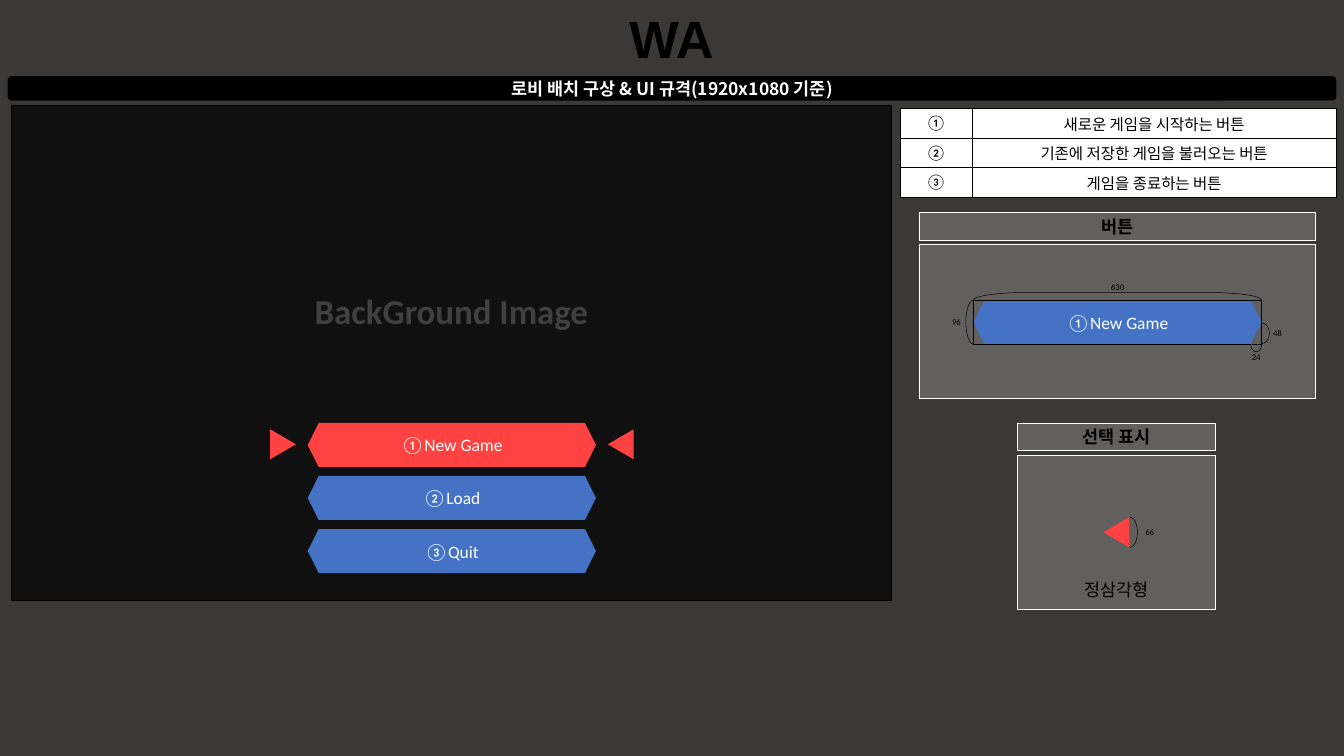
import math
from dataclasses import dataclass

from lxml import etree
from pptx import Presentation
from pptx.dml.color import RGBColor
from pptx.enum import shapes, text
from pptx.oxml import ns
from pptx.util import Pt


@dataclass(frozen=True)
class Theme:
    page: str = "3B3838"
    black: str = "000000"
    white: str = "FFFFFF"
    blue: str = "4472C4"
    red: str = "FF4343"
    faded: str = "404040"
    latin: str = "Calibri"
    korean: str = "Noto Sans CJK KR"
    display: str = "Arial"
    title: int = 54
    backdrop: int = 36
    body: int = 18
    cell: int = 16
    dimension: int = 9


THEME = Theme()
KIND = shapes.MSO_SHAPE
BUTTON_WIDTH, BUTTON_HEIGHT = 297.4, 45.4
MARKER_HEIGHT, MARKER_WIDTH = 31, 26.6
BRACKET_DEPTH = 7.9


def rgb(value):
    return RGBColor.from_string(value)


def write(frame, words, size, color, font=THEME.latin, bold=False,
          anchor=text.MSO_ANCHOR.MIDDLE):
    frame.word_wrap = True
    frame.vertical_anchor = anchor
    para = frame.paragraphs[0]
    para.text = words
    para.alignment = text.PP_ALIGN.CENTER
    para.font.name = font
    para.font.size = Pt(size)
    para.font.bold = bold
    para.font.color.rgb = rgb(color)


def add_box(holder, kind, left, top, width, height, fill=None, line=None,
            weight=1, opacity=None, turn=0):
    box = holder.add_shape(kind, Pt(left), Pt(top), Pt(width), Pt(height))
    box.shadow.inherit = False
    box.rotation = turn
    if fill:
        box.fill.solid()
        box.fill.fore_color.rgb = rgb(fill)
    else:
        box.fill.background()
    if opacity:
        color = box._element.spPr.find(".//" + ns.qn("a:srgbClr"))
        etree.SubElement(color, ns.qn("a:alpha"), val=str(opacity * 1000))
    if line:
        box.line.color.rgb = rgb(line)
        box.line.width = Pt(weight)
    else:
        box.line.fill.background()
    return box


def add_label(holder, words, center_x, center_y, width, height, size):
    box = holder.add_textbox(Pt(center_x - width / 2), Pt(center_y - height / 2),
                             Pt(width), Pt(height))
    write(box.text_frame, words, size, THEME.black, anchor=text.MSO_ANCHOR.TOP)


def add_button(holder, words, left, top, fill=THEME.blue):
    box = add_box(holder, KIND.HEXAGON, left, top, BUTTON_WIDTH, BUTTON_HEIGHT, fill)
    write(box.text_frame, words, THEME.body, THEME.white)


def add_marker(holder, left, top, turn):
    add_box(holder, KIND.ISOSCELES_TRIANGLE, left, top, MARKER_HEIGHT, MARKER_WIDTH,
            THEME.red, turn=turn)


def add_dimension(holder, words, edge_x, edge_y, span, turn, gap):
    angle = math.radians(turn)
    out_x, out_y = -math.cos(angle), -math.sin(angle)
    center_x = edge_x + out_x * BRACKET_DEPTH / 2
    center_y = edge_y + out_y * BRACKET_DEPTH / 2
    bracket = add_box(holder, KIND.LEFT_BRACKET, center_x - BRACKET_DEPTH / 2,
                      center_y - span / 2, BRACKET_DEPTH, span,
                      line=THEME.black, weight=0.5, turn=turn)
    bracket.adjustments[0] = 7.03
    add_label(holder, words, center_x + out_x * gap, center_y + out_y * gap,
              84.2, 18, THEME.dimension)


def add_panel(holder, heading, left, top, width):
    add_box(holder, KIND.RECTANGLE, left, top + 33.8, width, 158.4,
            THEME.white, THEME.white, opacity=20)
    header = add_box(holder, KIND.RECTANGLE, left, top, width, 28.8,
                     THEME.white, THEME.white, 0.75, 20)
    write(header.text_frame, heading, THEME.body, THEME.black, THEME.korean, True,
          text.MSO_ANCHOR.TOP)


def add_borders(cell, color):
    properties = cell._tc.get_or_add_tcPr()
    for index, side in enumerate(("lnL", "lnR", "lnT", "lnB")):
        line = etree.Element(ns.qn("a:" + side), w=str(Pt(1)))
        fill = etree.SubElement(line, ns.qn("a:solidFill"))
        etree.SubElement(fill, ns.qn("a:srgbClr"), val=color)
        properties.insert(index, line)


def add_legend(holder, rows, left, top, widths, row_height):
    frame = holder.add_table(len(rows), len(widths), Pt(left), Pt(top),
                             Pt(sum(widths)), Pt(row_height * len(rows)))
    table = frame.table
    table.first_row = False
    table.horz_banding = False
    for column, width in zip(table.columns, widths):
        column.width = Pt(width)
    for row, values in zip(table.rows, rows):
        row.height = Pt(row_height)
        for cell, words in zip(row.cells, values):
            write(cell.text_frame, words, THEME.cell, THEME.black)
            cell.vertical_anchor = text.MSO_ANCHOR.MIDDLE
            cell.fill.solid()
            cell.fill.fore_color.rgb = rgb(THEME.white)
            add_borders(cell, THEME.black)


def add_heading(page):
    title = page.shapes.title
    title.left, title.top, title.width, title.height = map(Pt, (640.1, 2.9, 105.8, 72.7))
    write(title.text_frame, "WA", THEME.title, THEME.black, THEME.display, True,
          text.MSO_ANCHOR.TOP)
    title.text_frame.word_wrap = False
    title.text_frame.auto_size = text.MSO_AUTO_SIZE.NONE
    banner = add_box(page.shapes, KIND.ROUNDED_RECTANGLE, 7.9, 78.5, 1370.9, 25.2,
                     THEME.black)
    write(banner.text_frame, "로비 배치 구상 & UI 규격(1920x1080 기준)",
          THEME.body, THEME.white, THEME.korean, True)


def add_lobby(holder):
    screen = add_box(holder, KIND.RECTANGLE, 12.2, 108.7, 907.2, 510.5,
                     THEME.black, THEME.black, opacity=70)
    write(screen.text_frame, "BackGround Image", THEME.backdrop, THEME.faded, bold=True)
    screen.text_frame.margin_bottom = Pt(91)
    buttons = (("①New Game", THEME.red), ("②Load", THEME.blue), ("③Quit", THEME.blue))
    for index, (words, fill) in enumerate(buttons):
        add_button(holder, words, 317.5, 436.3 + 54.7 * index, fill)
    add_marker(holder, 276.5, 445, 90)
    add_marker(holder, 625, 445, 270)


def add_button_drawing(holder):
    left, top = 1004.4, 309.6
    right, bottom = left + BUTTON_WIDTH, top + BUTTON_HEIGHT
    middle_x, middle_y = (left + right) / 2, (top + bottom) / 2
    add_button(holder, "①New Game", left, top)
    add_box(holder, KIND.RECTANGLE, left, top, BUTTON_WIDTH, BUTTON_HEIGHT,
            line=THEME.black)
    add_dimension(holder, "630", middle_x, top, BUTTON_WIDTH, 90, 10)
    add_dimension(holder, "96", left, middle_y, BUTTON_HEIGHT, 0, 13.6)
    add_dimension(holder, "24", right - 5.6, bottom, 11.5, 270, 9.7)
    add_dimension(holder, "48", right, bottom - 11.3, 21.6, 180, 12.3)


def add_marker_drawing(holder):
    add_marker(holder, 1136.2, 535.7, 270)
    add_dimension(holder, "66", 1165.7, 549, MARKER_HEIGHT, 180, 16.6)
    add_label(holder, "정삼각형", 1152.3, 608.4, 120.2, 28.8, THEME.body)


def main():
    deck = Presentation()
    deck.slide_width, deck.slide_height = Pt(1386.7), Pt(779.8)
    page = deck.slides.add_slide(deck.slide_layouts[5])
    page.background.fill.solid()
    page.background.fill.fore_color.rgb = rgb(THEME.page)
    add_heading(page)
    add_lobby(page.shapes)
    legend = (("①", "새로운 게임을 시작하는 버튼"),
              ("②", "기존에 저장한 게임을 불러오는 버튼"),
              ("③", "게임을 종료하는 버튼"))
    add_legend(page.shapes, legend, 928.8, 112.3, (74.2, 375.8), 27.2)
    add_panel(page.shapes, "버튼", 948.2, 218.9, 409)
    add_panel(page.shapes, "선택 표시", 1049.8, 436.3, 204.5)
    add_marker_drawing(page.shapes.add_group_shape().shapes)
    add_button_drawing(page.shapes.add_group_shape().shapes)
    deck.save("out.pptx")


main()
